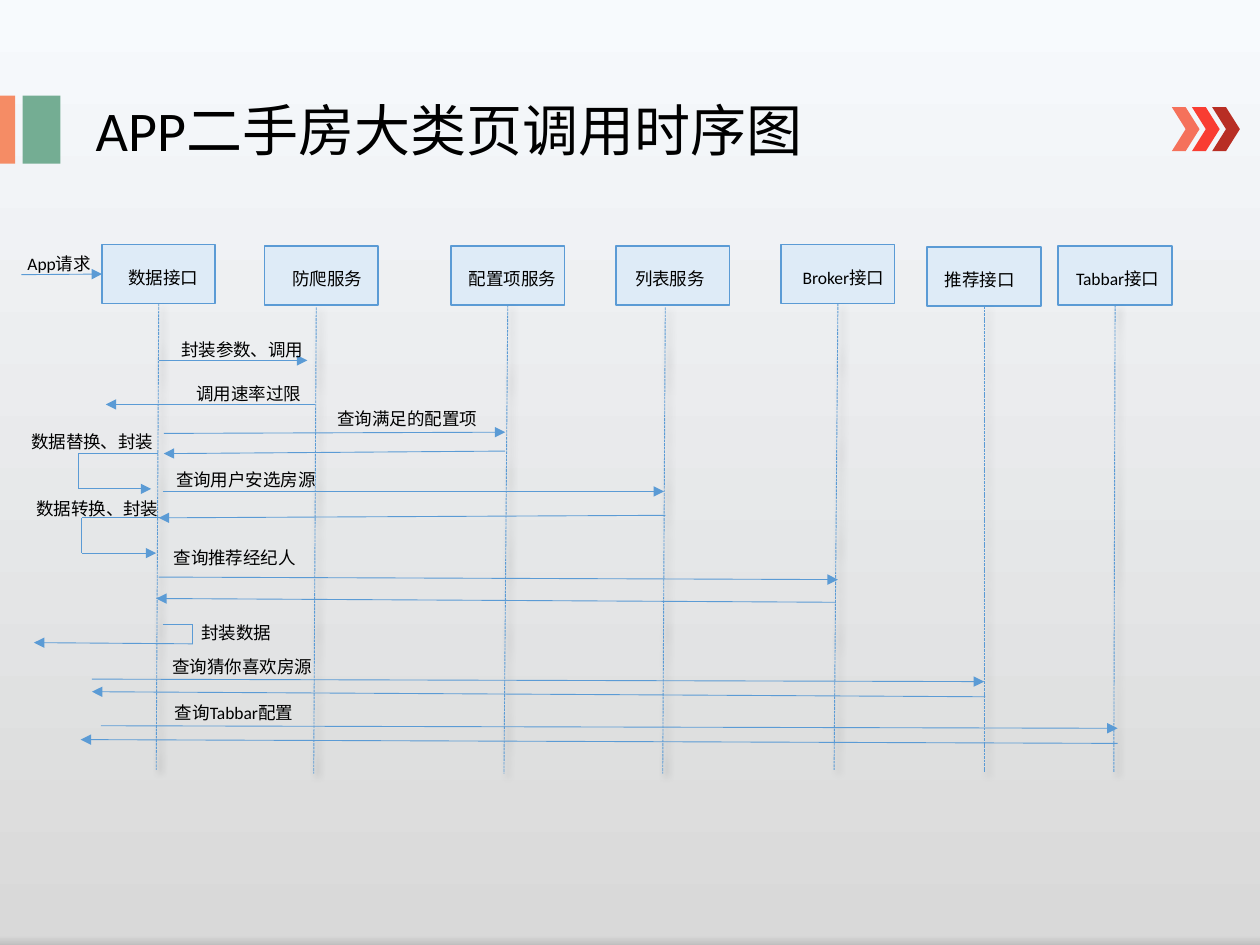
from dataclasses import dataclass

from lxml import etree
from pptx import Presentation
from pptx.dml.color import RGBColor
from pptx.enum.dml import MSO_LINE
from pptx.enum.shapes import MSO_CONNECTOR, MSO_SHAPE
from pptx.enum.text import MSO_ANCHOR, MSO_AUTO_SIZE, PP_ALIGN
from pptx.oxml import parse_xml
from pptx.oxml.ns import nsdecls, qn
from pptx.util import Inches, Pt

RECTANGLE, CHEVRON = MSO_SHAPE.RECTANGLE, MSO_SHAPE.CHEVRON
STRAIGHT = MSO_CONNECTOR.STRAIGHT
DASHED = MSO_LINE.SQUARE_DOT
TOP, MIDDLE = MSO_ANCHOR.TOP, MSO_ANCHOR.MIDDLE
LEFT = PP_ALIGN.LEFT
GROW = MSO_AUTO_SIZE.SHAPE_TO_FIT_TEXT
LEFT_SIDE, BOTTOM_SIDE = 1, 2
TITLE_ONLY = 5


@dataclass(frozen=True)
class Theme:
    font: str = "Calibri"
    title_size: int = 32
    label_size: int = 10
    text: str = "000000"
    line: str = "5B9BD5"
    box: str = "DEEBF7"
    title_bars: tuple = ("F58C65", "74AD93")
    chevrons: tuple = ("F5715B", "F93D32", "B82E24")
    background: tuple = ((0, "F7FAFD"), (99, "D9D9D9"), (100, "BFBFBF"))


# Name, box left, box top, text indent, lifeline x, lifeline top
PARTICIPANTS = [
    ("数据接口", 0.81, 1.94, 0.21, 1.26, 2.41),
    ("防爬服务", 2.1, 1.95, 0.22, 2.51, 2.44),
    ("配置项服务", 3.58, 1.95, 0.14, 4.02, 2.44),
    ("列表服务", 4.89, 1.95, 0.15, 5.28, 2.44),
    ("Broker接口", 6.2, 1.94, 0.17, 6.64, 2.41),
    ("推荐接口", 7.36, 1.96, 0.14, 7.83, 2.43),
    ("Tabbar接口", 8.4, 1.95, 0.14, 8.86, 2.43),
]
BOX_WIDTH, BOX_HEIGHT = 0.9, 0.47
LIFELINE_HEIGHT, LIFELINE_DRIFT = 3.7, -0.02

# Each message is a chain of points that ends in an arrowhead
MESSAGES = [
    [(1.26, 2.86), (2.44, 2.86)],
    [(2.5, 3.21), (0.84, 3.21)],
    [(1.3, 3.44), (4.01, 3.43)],
    [(4.01, 3.58), (1.3, 3.6)],
    [(1.25, 3.6), (0.62, 3.6), (0.62, 3.88), (1.2, 3.88)],
    [(1.29, 3.9), (5.27, 3.9)],
    [(5.28, 4.09), (1.26, 4.11)],
    [(1.28, 4.11), (0.65, 4.11), (0.65, 4.39), (1.24, 4.39)],
    [(1.26, 4.58), (6.65, 4.6)],
    [(6.63, 4.78), (1.24, 4.75)],
    [(1.29, 4.96), (1.53, 4.96), (1.53, 5.11), (0.27, 5.1)],
    [(0.73, 5.39), (7.81, 5.41)],
    [(7.82, 5.53), (0.73, 5.49)],
    [(0.8, 5.76), (8.87, 5.78)],
    [(8.87, 5.9), (0.64, 5.87)],
]
LABELS = [
    ("App请求", 0.12, 1.96),
    ("封装参数、调用", 1.34, 2.64),
    ("调用速率过限", 1.46, 2.99),
    ("查询满足的配置项", 2.58, 3.19),
    ("数据替换、封装", 0.15, 3.37),
    ("查询用户安选房源", 1.3, 3.67),
    ("数据转换、封装", 0.19, 3.9),
    ("查询推荐经纪人", 1.28, 4.29),
    ("封装数据", 1.5, 4.89),
    ("查询猜你喜欢房源", 1.27, 5.16),
    ("查询Tabbar配置", 1.29, 5.52),
]


class SequenceDiagram:
    def __init__(self, slide, theme):
        self.slide = slide
        self.theme = theme

    def background(self):
        fill = self.slide.background.fill
        fill.gradient()
        fill.gradient_angle = 270
        stops = next(self.slide.element.iter(qn("a:gsLst")))
        for stop in list(stops):
            stops.remove(stop)
        for percent, color in self.theme.background:
            stop = etree.SubElement(stops, qn("a:gs"), pos=str(percent * 1000))
            etree.SubElement(stop, qn("a:srgbClr"), val=color)

    def set_text(self, shape, text, size):
        frame = shape.text_frame
        frame.text = text
        frame.word_wrap = True
        paragraph = frame.paragraphs[0]
        paragraph.alignment = LEFT
        paragraph.font.name = self.theme.font
        paragraph.font.size = Pt(size)
        paragraph.font.color.rgb = RGBColor.from_string(self.theme.text)
        return frame

    def title(self, text):
        title = self.slide.shapes.title
        title.left, title.top = Inches(0.66), Inches(0.71)
        title.width, title.height = Inches(5.84), Inches(0.64)
        frame = self.set_text(title, text, self.theme.title_size)
        frame.vertical_anchor = TOP
        frame.auto_size = GROW

    def label(self, text, left, top):
        box = self.slide.shapes.add_textbox(
            Inches(left), Inches(top), Inches(1.57), Inches(0.27))
        self.set_text(box, text, self.theme.label_size).auto_size = GROW

    def block(self, kind, left, top, width, height, color):
        shape = self.slide.shapes.add_shape(
            kind, Inches(left), Inches(top), Inches(width), Inches(height))
        shape.shadow.inherit = False
        shape.fill.solid()
        shape.fill.fore_color.rgb = RGBColor.from_string(color)
        shape.line.fill.background()
        return shape

    def participant(self, name, left, top, indent):
        box = self.block(RECTANGLE, left, top, BOX_WIDTH, BOX_HEIGHT, self.theme.box)
        box.line.color.rgb = RGBColor.from_string(self.theme.line)
        box.line.width = Pt(1)
        frame = self.set_text(box, name, self.theme.label_size)
        frame.vertical_anchor = MIDDLE
        frame.margin_left, frame.margin_right = Inches(indent), 0
        frame.margin_top, frame.margin_bottom = Inches(0.05), 0
        return box

    def line(self, start, end, arrow=False):
        connector = self.slide.shapes.add_connector(
            STRAIGHT, *(Inches(value) for value in (*start, *end)))
        connector.line.color.rgb = RGBColor.from_string(self.theme.line)
        connector.line.width = Pt(0.5)
        properties = connector.element.spPr
        if arrow:
            etree.SubElement(properties.find(qn("a:ln")), qn("a:tailEnd"), type="triangle")
        etree.SubElement(properties, qn("a:effectLst"))
        return connector

    def lifeline(self, box, center, x, top):
        """Dashed line with a soft shadow, joined to the box where it starts mid-side."""
        connector = self.line((x, top), (x + LIFELINE_DRIFT, top + LIFELINE_HEIGHT))
        connector.line.dash_style = DASHED
        for dash in connector.element.iter(qn("a:prstDash")):
            dash.set("val", "sysDash")
        effects = connector.element.spPr.find(qn("a:effectLst"))
        effects.append(parse_xml(
            f'<a:outerShdw {nsdecls("a")} blurRad="{Pt(4)}" dist="{Pt(3)}" dir="2700000">'
            '<a:srgbClr val="000000"><a:alpha val="40000"/></a:srgbClr></a:outerShdw>'))
        if abs(x - center) < 0.03:
            connector.begin_connect(box, BOTTOM_SIDE)

    def message(self, points):
        last = len(points) - 2
        for index, (start, end) in enumerate(zip(points, points[1:])):
            self.line(start, end, arrow=index == last)


def main():
    presentation = Presentation()
    presentation.slide_width, presentation.slide_height = Inches(10), Inches(7.5)
    slide = presentation.slides.add_slide(presentation.slide_layouts[TITLE_ONLY])
    theme = Theme()
    diagram = SequenceDiagram(slide, theme)

    diagram.background()
    for (left, width), color in zip(((0, 0.12), (0.18, 0.3)), theme.title_bars):
        diagram.block(RECTANGLE, left, 0.76, width, 0.54, color)
    diagram.title("APP二手房大类页调用时序图")
    for index, color in enumerate(theme.chevrons):
        diagram.block(CHEVRON, 9.3 + 0.16 * index, 0.85, 0.22, 0.35, color)

    boxes = []
    for name, left, top, indent, x, line_top in PARTICIPANTS:
        box = diagram.participant(name, left, top, indent)
        diagram.lifeline(box, left + BOX_WIDTH / 2, x, line_top)
        boxes.append(box)

    request = diagram.line((0.17, 2.18), (0.81, 2.18), arrow=True)
    request.end_connect(boxes[0], LEFT_SIDE)
    for points in MESSAGES:
        diagram.message(points)
    for text, left, top in LABELS:
        diagram.label(text, left, top)

    presentation.save("out.pptx")


if __name__ == "__main__":
    main()
